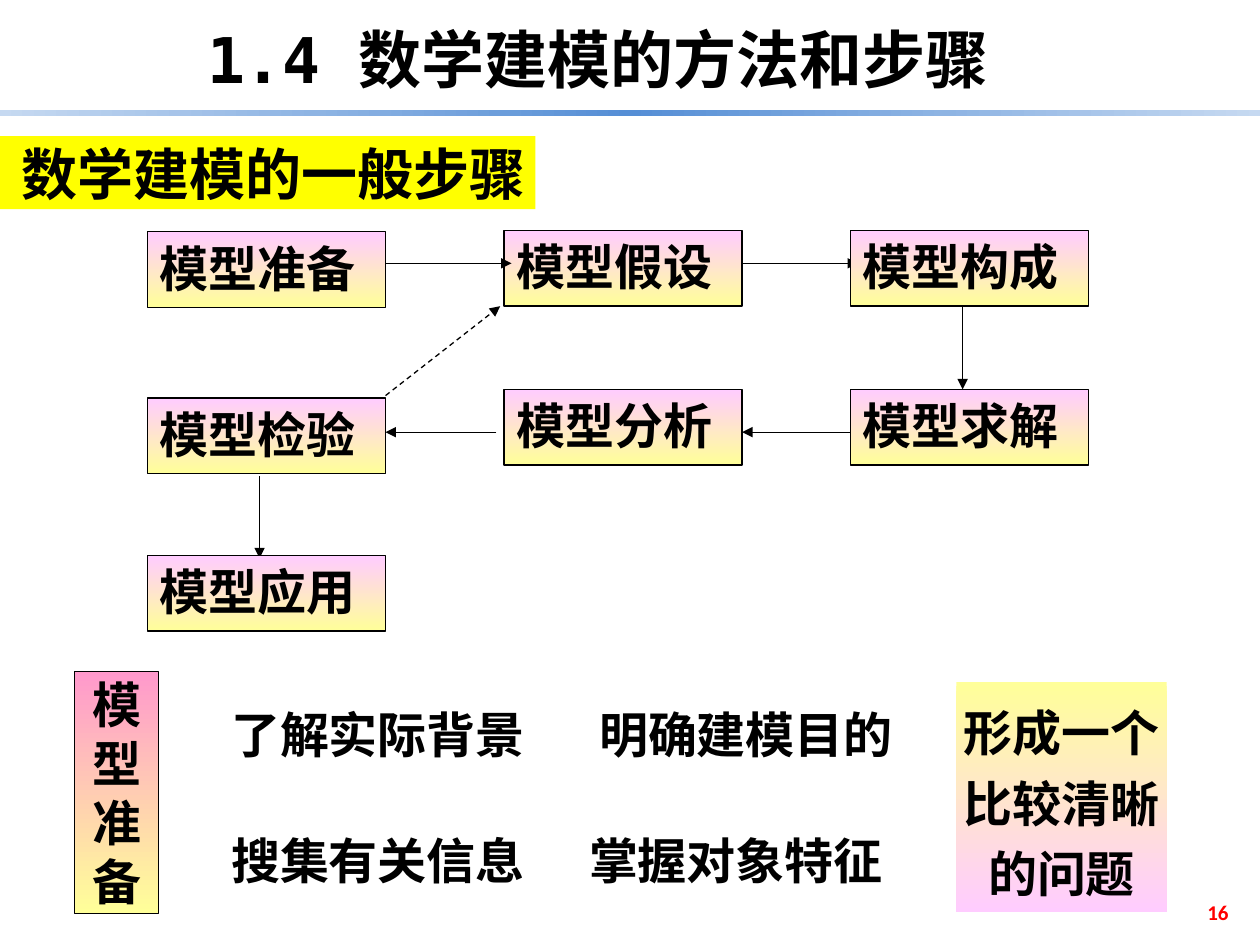
from copy import deepcopy
from dataclasses import dataclass

from lxml import etree
from pptx import Presentation
from pptx.dml.color import RGBColor
from pptx.enum.dml import MSO_LINE
from pptx.enum.shapes import MSO_CONNECTOR, MSO_SHAPE
from pptx.enum.text import MSO_ANCHOR, MSO_AUTO_SIZE, PP_ALIGN
from pptx.oxml.ns import qn
from pptx.util import Inches, Pt

RECT, STRAIGHT, DASH = MSO_SHAPE.RECTANGLE, MSO_CONNECTOR.STRAIGHT, MSO_LINE.DASH
TOP, MIDDLE = MSO_ANCHOR.TOP, MSO_ANCHOR.MIDDLE
CENTER, RIGHT, JUSTIFY = PP_ALIGN.CENTER, PP_ALIGN.RIGHT, PP_ALIGN.JUSTIFY
FIT_SHAPE, FIT_NONE = MSO_AUTO_SIZE.SHAPE_TO_FIT_TEXT, MSO_AUTO_SIZE.NONE

BLACK = RGBColor(0x00, 0x00, 0x00)
RED = RGBColor(0xFF, 0x00, 0x00)
YELLOW = RGBColor(0xFF, 0xFF, 0x00)
CREAM = RGBColor(0xFF, 0xFF, 0x99)
LILAC = RGBColor(0xFF, 0xCC, 0xFF)
PINK = RGBColor(0xFF, 0x99, 0xCC)
PALE_BLUE = RGBColor(0xC6, 0xD9, 0xF1)
SKY_BLUE = RGBColor(0x8E, 0xB4, 0xE3)
DEEP_BLUE = RGBColor(0x55, 0x8E, 0xD5)

MONO, SANS, SERIF, PLAIN = "DejaVu Sans Mono", "Noto Sans CJK SC", "Times New Roman", "Calibri"
COLUMNS, ROWS = 10, 7.5
LEFT_COL, MID_COL, RIGHT_COL = 1.17, 4, 6.75
BOX_W, BOX_H = 1.89, 0.6
TOP_LINE, LOWER_LINE = 2.09, 3.43


@dataclass(frozen=True)
class Area:
    col: float
    row: float
    cols: float
    rows: float

    def lengths(self) -> list[int]:
        return [Inches(v) for v in (self.col, self.row, self.cols, self.rows)]


@dataclass(frozen=True)
class Step:
    text: str
    col: float
    row: float


@dataclass(frozen=True)
class Arrow:
    start: tuple[float, float]
    end: tuple[float, float]
    dashed: bool = False


@dataclass(frozen=True)
class Style:
    size: float = 28
    name: str = SERIF
    color: RGBColor = BLACK
    align: int = CENTER
    anchor: int = MIDDLE
    wrap: bool = False
    spacing: float = 1.0
    fit: int = FIT_NONE


STEPS = [
    Step("模型准备", LEFT_COL, 1.84),
    Step("模型假设", MID_COL, 1.83),
    Step("模型构成", RIGHT_COL, 1.83),
    Step("模型求解", RIGHT_COL, 3.09),
    Step("模型分析", MID_COL, 3.09),
    Step("模型检验", LEFT_COL, 3.16),
    Step("模型应用", LEFT_COL, 4.41),
]
ARROWS_BEHIND = [
    Arrow((MID_COL + BOX_W, TOP_LINE), (6.81, TOP_LINE)),
    Arrow((7.64, 2.43), (7.64, 3.09)),
    Arrow((RIGHT_COL, LOWER_LINE), (MID_COL + BOX_W, LOWER_LINE)),
    Arrow((3.94, LOWER_LINE), (LEFT_COL + BOX_W, LOWER_LINE)),
    Arrow((2.06, 3.78), (2.06, 4.43)),
    Arrow((LEFT_COL + BOX_W, 3.14), (3.97, 2.43), dashed=True),
]
ARROW_IN_FRONT = Arrow((LEFT_COL + BOX_W, TOP_LINE), (4.06, TOP_LINE))
TASKS = [
    Step("了解实际背景", 1.75, 5.49),
    Step("明确建模目的", 4.67, 5.49),
    Step("搜集有关信息", 1.75, 6.49),
    Step("掌握对象特征", 4.59, 6.49),
]


def write(sp, lines: list[str], style: Style) -> None:
    tf = sp.text_frame
    frame = {"word_wrap": style.wrap, "auto_size": style.fit, "vertical_anchor": style.anchor}
    for key, value in frame.items():
        setattr(tf, key, value)
    for i, line in enumerate(lines):
        p = tf.paragraphs[0] if i == 0 else tf.add_paragraph()
        p.alignment, p.line_spacing = style.align, style.spacing
        r = p.add_run()
        r.text = line
        for key, value in {"size": Pt(style.size), "name": style.name, "bold": True}.items():
            setattr(r.font, key, value)
        r.font.color.rgb = style.color
        etree.SubElement(r.font._element, qn("a:ea"), typeface=SANS)


def paint(sp, colors: list[RGBColor], angle: float) -> None:
    if len(colors) == 1:
        sp.fill.solid()
        sp.fill.fore_color.rgb = colors[0]
        return
    sp.fill.gradient()
    sp.fill.gradient_angle = angle
    stops = sp._element.spPr.find(qn("a:gradFill")).find(qn("a:gsLst"))
    for _ in colors[2:]:
        stops.append(deepcopy(stops[0]))
    for i, (stop, color) in enumerate(zip(sp.fill.gradient_stops, colors)):
        stop.position = i / (len(colors) - 1)
        stop.color.rgb = color


def add_panel(s, area: Area, colors: list[RGBColor], outlined: bool = False, angle: float = 270):
    sp = s.shapes.add_shape(RECT, *area.lengths())
    sp.shadow.inherit = False
    paint(sp, colors, angle)
    if outlined:
        sp.line.color.rgb, sp.line.width = BLACK, Pt(0.75)
    else:
        sp.line.fill.background()
    return sp


def add_label(s, area: Area, text: str, style: Style) -> None:
    write(s.shapes.add_textbox(*area.lengths()), [text], style)


def add_arrow(s, arrow: Arrow) -> None:
    ends = [Inches(v) for v in (*arrow.start, *arrow.end)]
    line = s.shapes.add_connector(STRAIGHT, *ends)
    line.line.color.rgb, line.line.width = BLACK, Pt(0.75)
    if arrow.dashed:
        line.line.dash_style = DASH
    etree.SubElement(line.line._get_or_add_ln(), qn("a:tailEnd"), type="triangle")
    etree.SubElement(line._element.spPr, qn("a:effectLst"))


def main() -> None:
    prs = Presentation()
    prs.slide_width, prs.slide_height = Inches(COLUMNS), Inches(ROWS)
    s = prs.slides.add_slide(prs.slide_layouts[5])

    title = s.shapes.title
    title.left, title.top, title.width, title.height = Area(0.81, 0.11, 7.87, 0.71).lengths()
    write(title, ["1.4 数学建模的方法和步骤"],
          Style(size=36, name=MONO, anchor=TOP, wrap=True, fit=FIT_SHAPE))
    add_label(s, Area(7.52, 7.04, 2.33, 0.4), "16",
              Style(size=12, name=PLAIN, color=RED, align=RIGHT, wrap=True))

    add_panel(s, Area(0, 0.87, COLUMNS, 0.05),
              [PALE_BLUE, SKY_BLUE, DEEP_BLUE, SKY_BLUE, PALE_BLUE], angle=0)
    heading = add_panel(s, Area(0, 1.08, 4.25, 0.58), [YELLOW])
    write(heading, [" 数学建模的一般步骤"], Style(size=32, name=SANS))

    for arrow in ARROWS_BEHIND:
        add_arrow(s, arrow)
    for step in STEPS:
        box = add_panel(s, Area(step.col, step.row, BOX_W, BOX_H), [LILAC, CREAM], outlined=True)
        write(box, [step.text], Style(align=JUSTIFY, anchor=TOP, wrap=True))
    add_arrow(s, ARROW_IN_FRONT)

    stage = add_panel(s, Area(0.59, 5.33, 0.67, 1.92), [PINK, CREAM], outlined=True)
    write(stage, list("模型准备"), Style())
    for task in TASKS:
        add_label(s, Area(task.col, task.row, 2.5, 0.67), task.text, Style(name=SANS))
    result = add_panel(s, Area(7.59, 5.41, 1.67, 1.83), [CREAM, LILAC])
    write(result, ["形成一个", "比较清晰", "的问题"], Style(spacing=1.2))

    prs.save("out.pptx")


if __name__ == "__main__":
    main()
